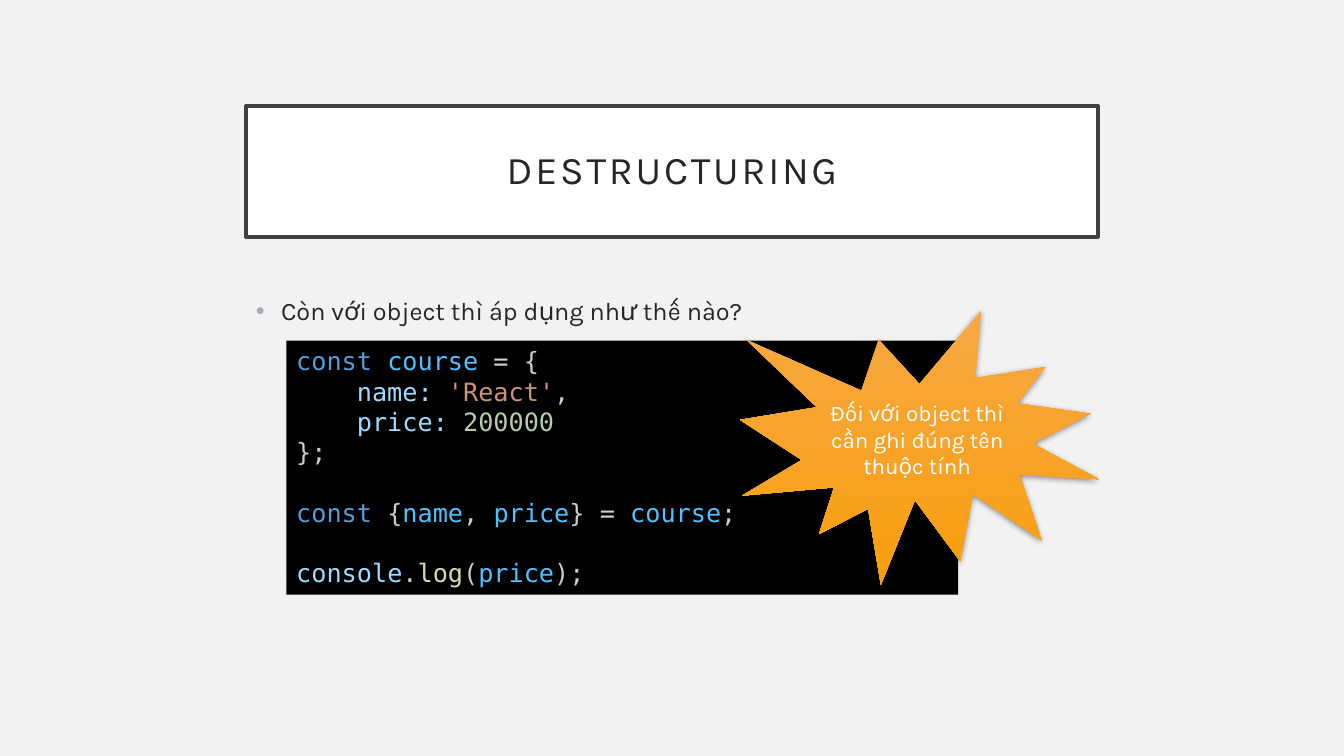
import lxml.etree
import pptx
import pptx.dml.color
import pptx.enum.shapes
import pptx.enum.text
import pptx.oxml.ns
import pptx.util

RGBColor = pptx.dml.color.RGBColor
SHAPE = pptx.enum.shapes.MSO_SHAPE
ALIGN = pptx.enum.text.PP_ALIGN
ANCHOR = pptx.enum.text.MSO_ANCHOR
Inches, Pt = pptx.util.Inches, pptx.util.Pt

BACKGROUND = RGBColor(0xF2, 0xF2, 0xF2)
WHITE = RGBColor(0xFF, 0xFF, 0xFF)
BLACK = RGBColor(0x00, 0x00, 0x00)
FRAME = RGBColor(0x40, 0x40, 0x40)
INK = RGBColor(0x26, 0x26, 0x26)
BULLET = RGBColor(0x9B, 0xAF, 0xB5)
BURST_TOP = RGBColor(0xF7, 0xA9, 0x42)
BURST_BOTTOM = RGBColor(0xF9, 0x9E, 0x0F)

KEYWORD = RGBColor(0x56, 0x9C, 0xD6)
CONSTANT = RGBColor(0x4F, 0xC1, 0xFF)
OPERATOR = RGBColor(0xD4, 0xD4, 0xD4)
PUNCTUATION = RGBColor(0xCC, 0xCC, 0xCC)
PROPERTY = RGBColor(0x9C, 0xDC, 0xFE)
STRING = RGBColor(0xCE, 0x91, 0x78)
NUMBER = RGBColor(0xB5, 0xCE, 0xA8)
FUNCTION = RGBColor(0xDC, 0xDC, 0xAA)

# Each statement line is a list of coloured tokens; an empty list is a blank line.
CODE = [
    [("const ", KEYWORD), ("course ", CONSTANT), ("=", OPERATOR), (" {", PUNCTUATION)],
    [("    ", PUNCTUATION), ("name: ", PROPERTY), ("'React'", STRING), (",", PUNCTUATION)],
    [("    ", PUNCTUATION), ("price: ", PROPERTY), ("200000", NUMBER)],
    [("};", PUNCTUATION)],
    [],
    [("const", KEYWORD), (" {", PUNCTUATION), ("name", CONSTANT), (", ", PUNCTUATION),
     ("price", CONSTANT), ("} ", PUNCTUATION), ("= ", OPERATOR), ("course", CONSTANT),
     (";", PUNCTUATION)],
    [],
    [("console", PROPERTY), (".", PUNCTUATION), ("log", FUNCTION), ("(", PUNCTUATION),
     ("price", CONSTANT), (");", PUNCTUATION)],
]


def add_xml(parent, tag, **attributes):
    return lxml.etree.SubElement(parent, pptx.oxml.ns.qn(tag), attributes)


class LessonSlide:
    """Holds the style and the slide; areas are left, top, width, height in percent."""

    text_font = "Karla"
    code_font = "DejaVu Sans Mono"

    def __init__(self):
        self.deck = pptx.Presentation()
        self.deck.slide_width = Inches(13.33)
        self.deck.slide_height = Inches(7.5)
        self.slide = self.deck.slides.add_slide(self.deck.slide_layouts[6])
        self.slide.background.fill.solid()
        self.slide.background.fill.fore_color.rgb = BACKGROUND

    def area(self, left, top, width, height):
        across, down = self.deck.slide_width / 100, self.deck.slide_height / 100
        return (round(left * across), round(top * down),
                round(width * across), round(height * down))

    def shape(self, kind, area, fill=None):
        """Add a shape without line or shadow."""
        shape = self.slide.shapes.add_shape(kind, *self.area(*area))
        shape.shadow.inherit = False
        shape.line.fill.background()
        if fill is not None:
            shape.fill.solid()
            shape.fill.fore_color.rgb = fill
        return shape

    def style(self, paragraph, size, color=None, font=text_font, align=ALIGN.LEFT):
        paragraph.alignment = align
        paragraph.font.name = font
        paragraph.font.size = Pt(size)
        if color is not None:
            paragraph.font.color.rgb = color

    def title(self, text, area):
        banner = self.shape(SHAPE.RECTANGLE, area, WHITE)
        banner.line.color.rgb = FRAME
        banner.line.width = Pt(2.5)
        frame = banner.text_frame
        frame.vertical_anchor = ANCHOR.MIDDLE
        heading = frame.paragraphs[0]
        heading.line_spacing = 0.9
        run = heading.add_run()
        run.text = text
        run._r.get_or_add_rPr().set("spc", "200")
        self.style(heading, 28, INK, align=ALIGN.CENTER)

    def bullet(self, text, area):
        frame = self.slide.shapes.add_textbox(*self.area(*area)).text_frame
        frame.word_wrap = True
        point = frame.paragraphs[0]
        point.text = text
        properties = point._p.get_or_add_pPr()
        properties.set("marL", str(Inches(0.25)))
        properties.set("indent", str(-Inches(0.25)))
        add_xml(add_xml(properties, "a:buClr"), "a:srgbClr", val=str(BULLET))
        add_xml(properties, "a:buFont", typeface="Arial")
        add_xml(properties, "a:buChar", char="•")
        self.style(point, 18, INK)

    def code(self, lines, area):
        """Show coloured code; a blank line becomes a break in the next paragraph."""
        frame = self.shape(SHAPE.RECTANGLE, area, BLACK).text_frame
        frame.vertical_anchor = ANCHOR.TOP
        frame.auto_size = pptx.enum.text.MSO_AUTO_SIZE.SHAPE_TO_FIT_TEXT
        statement = frame.paragraphs[0]
        for number, tokens in enumerate(lines):
            if not tokens:
                continue
            if number:
                statement = frame.add_paragraph()
                if not lines[number - 1]:
                    statement.add_line_break()
            for text, color in tokens:
                run = statement.add_run()
                run.text = text
                run.font.color.rgb = color
            self.style(statement, 18, font=self.code_font)

    def burst(self, text, area):
        burst = self.shape(SHAPE.EXPLOSION1, area)
        burst.fill.gradient()
        burst.fill.gradient_angle = 270
        for stop, color in zip(burst.fill.gradient_stops, (BURST_TOP, BURST_BOTTOM)):
            stop.color.rgb = color
        effects = burst._element.spPr.find(pptx.oxml.ns.qn("a:effectLst"))
        shadow = add_xml(effects, "a:outerShdw", blurRad=str(Pt(4.4)), dist=str(Pt(1.2)),
                         dir="5400000", algn="ctr", rotWithShape="0")
        shade = add_xml(shadow, "a:srgbClr", val=str(BLACK))
        add_xml(shade, "a:alpha", val="45000")
        frame = burst.text_frame
        frame.word_wrap = True
        frame.vertical_anchor = ANCHOR.MIDDLE
        frame.text = text
        self.style(frame.paragraphs[0], 16, WHITE, align=ALIGN.CENTER)


def main():
    lesson = LessonSlide()
    lesson.title("DESTRUCTURING", (18.3, 14, 63.4, 17.33))
    lesson.bullet("Còn với object thì áp dụng như thế nào?", (18.3, 38.4, 63.4, 45.2))
    lesson.code(CODE, (21.3, 45.07, 50, 33.6))
    lesson.burst("Đối với object thì cần ghi đúng tên thuộc tính",
                 (55.06, 41.07, 26.7, 36.27))
    lesson.deck.save("out.pptx")


if __name__ == "__main__":
    main()
